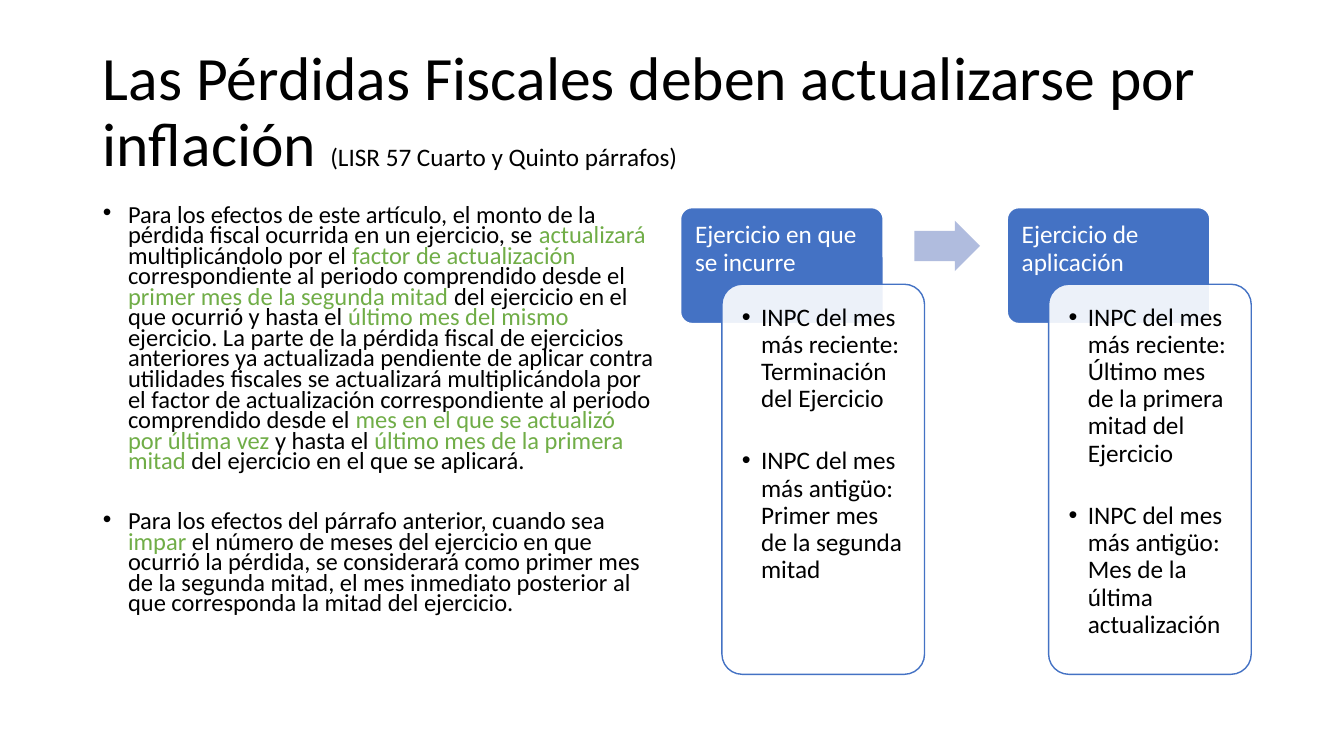
from dataclasses import dataclass

from lxml import etree
from pptx import Presentation
from pptx.dml.color import RGBColor
from pptx.enum import shapes, text
from pptx.oxml import ns
from pptx.util import Inches, Pt


@dataclass(frozen=True)
class Theme:
    font: str = "Calibri"
    title_size: float = 44
    label_size: float = 18
    body_size: float = 17.5
    black: RGBColor = RGBColor(0, 0, 0)
    white: RGBColor = RGBColor(255, 255, 255)
    blue: RGBColor = RGBColor.from_string("4472C4")
    pale_blue: RGBColor = RGBColor.from_string("B0BCDE")
    green: RGBColor = RGBColor.from_string("70AD47")


THEME = Theme()

TITLE = "Las Pérdidas Fiscales deben actualizarse por inflación "
CITATION = "(LISR 57 Cuarto y Quinto párrafos)"

# Each paragraph alternates plain and highlighted wording
RULES = [
    ["Para los efectos de este artículo, el monto de la pérdida fiscal ocurrida en un ejercicio, se ",
     "actualizará", " multiplicándolo por el ", "factor de actualización",
     " correspondiente al periodo comprendido desde el ",
     "primer mes de la segunda mitad ", "del ejercicio en el que ocurrió y hasta el ",
     "último mes del mismo ",
     "ejercicio. La parte de la pérdida fiscal de ejercicios anteriores ya actualizada "
     "pendiente de aplicar contra utilidades fiscales se actualizará multiplicándola por el "
     "factor de actualización correspondiente al periodo comprendido desde el ",
     "mes en el que se actualizó por última vez", " y hasta el ",
     "último mes de la primera mitad", " del ejercicio en el que se aplicará."],
    ["Para los efectos del párrafo anterior, cuando sea ", "impar",
     " el número de meses del ejercicio en que ocurrió la pérdida, se considerará como primer mes "
     "de la segunda mitad, el mes inmediato posterior al que corresponda la mitad del ejercicio."],
]

STAGES = [
    ("Ejercicio en que se incurre",
     ["INPC del mes más reciente: Terminación del Ejercicio",
      "INPC del mes más antigüo: Primer mes de la segunda mitad"]),
    ("Ejercicio de aplicación",
     ["INPC del mes más reciente: Último mes de la primera mitad del Ejercicio",
      "INPC del mes más antigüo: Mes de la última actualización"]),
]


def place(placeholder, left, top, width, height):
    placeholder.left, placeholder.top = Inches(left), Inches(top)
    placeholder.width, placeholder.height = Inches(width), Inches(height)


def style(paragraph, size, color, spacing, before=0):
    paragraph.alignment = text.PP_ALIGN.LEFT
    paragraph.line_spacing = spacing
    paragraph.space_before, paragraph.space_after = Pt(before), Pt(0)
    font = paragraph.font
    font.name, font.size, font.color.rgb = THEME.font, Pt(size), color


def add_bullet(paragraph, indent):
    properties = paragraph._p.get_or_add_pPr()
    properties.set("marL", str(Inches(indent)))
    properties.set("indent", str(Inches(-indent)))
    etree.SubElement(properties, ns.qn("a:buFont")).set("typeface", "Arial")
    etree.SubElement(properties, ns.qn("a:buChar")).set("char", "•")


def paragraphs_for(frame, items):
    """Pair each item with its paragraph, using the frame's first one."""
    for i, item in enumerate(items):
        yield i, frame.paragraphs[0] if i == 0 else frame.add_paragraph(), item


def add_block(slide, kind, box, adjustments, fill, outline=None):
    block = slide.shapes.add_shape(kind, *map(Inches, box))
    block.shadow.inherit = False
    for i, value in enumerate(adjustments):
        block.adjustments[i] = value
    block.fill.solid()
    block.fill.fore_color.rgb = fill
    if outline is None:
        block.line.fill.background()
    else:
        block.line.color.rgb, block.line.width = outline, Pt(1)
    return block


def prepare_frame(block, inset):
    frame = block.text_frame
    frame.word_wrap = True
    frame.vertical_anchor = text.MSO_ANCHOR.TOP
    frame.margin_left = frame.margin_right = Inches(inset)
    frame.margin_top = frame.margin_bottom = Inches(inset)
    return frame


def fill_title(title, left, top, width, height):
    place(title, left, top, width, height)
    frame = title.text_frame
    frame.auto_size = text.MSO_AUTO_SIZE.NONE
    frame.vertical_anchor = text.MSO_ANCHOR.MIDDLE
    heading = frame.paragraphs[0]
    style(heading, THEME.title_size, THEME.black, 0.9)
    heading.add_run().text = TITLE
    citation = heading.add_run()
    citation.text = CITATION
    citation.font.size = Pt(THEME.label_size)


def fill_rules(body, left, top, width, height):
    place(body, left, top, width, height)
    frame = body.text_frame
    frame.auto_size = text.MSO_AUTO_SIZE.NONE
    for i, paragraph, phrases in paragraphs_for(frame, RULES):
        add_bullet(paragraph, 0.25)
        style(paragraph, THEME.body_size, THEME.black, 0.7, before=28 if i else 0)
        for j, phrase in enumerate(phrases):
            run = paragraph.add_run()
            run.text = phrase
            if j % 2:
                run.font.color.rgb = THEME.green


def add_stage(slide, left, top, width, height, heading, indices):
    rounded = shapes.MSO_SHAPE.ROUNDED_RECTANGLE
    card_width = 2.01

    # Blue heading behind the card
    header = add_block(slide, rounded, (left, top, card_width, 1.15), [0.1],
                       THEME.blue, THEME.white)
    label = prepare_frame(header, 0.11).paragraphs[0]
    label.text = heading
    style(label, THEME.label_size, THEME.white, 0.9)

    # Translucent card with the price indices
    card = add_block(slide, rounded,
                     (left + width - card_width, top + 0.76, card_width, height - 0.76),
                     [0.1], THEME.white, THEME.blue)
    color = card.fill._xPr.find(ns.qn("a:solidFill"))[0]
    etree.SubElement(color, ns.qn("a:alpha")).set("val", "90000")
    for i, paragraph, index in paragraphs_for(prepare_frame(card, 0.14), indices):
        paragraph.text = index
        add_bullet(paragraph, 0.19)
        style(paragraph, THEME.label_size, THEME.black, 0.9, before=25 if i else 0)


def add_process(slide, left, top, width, height):
    stage_width = 2.42
    pitch = width - stage_width
    for i, (heading, indices) in enumerate(STAGES):
        add_stage(slide, left + i * pitch, top, stage_width, height, heading, indices)
    add_block(slide, shapes.MSO_SHAPE.RIGHT_ARROW, (left + 2.32, top + 0.13, 0.65, 0.5),
              [0.6, 0.5], THEME.pale_blue)


def main():
    deck = Presentation()
    deck.slide_width, deck.slide_height = Inches(13.33), Inches(7.5)
    slide = deck.slides.add_slide(deck.slide_layouts[1])
    fill_title(slide.shapes.title, 0.92, 0.4, 11.5, 1.45)
    fill_rules(slide.placeholders[1], 0.92, 2, 5.67, 4.76)
    add_process(slide, 6.75, 2.06, 5.66, 4.63)
    deck.save("out.pptx")


if __name__ == "__main__":
    main()
